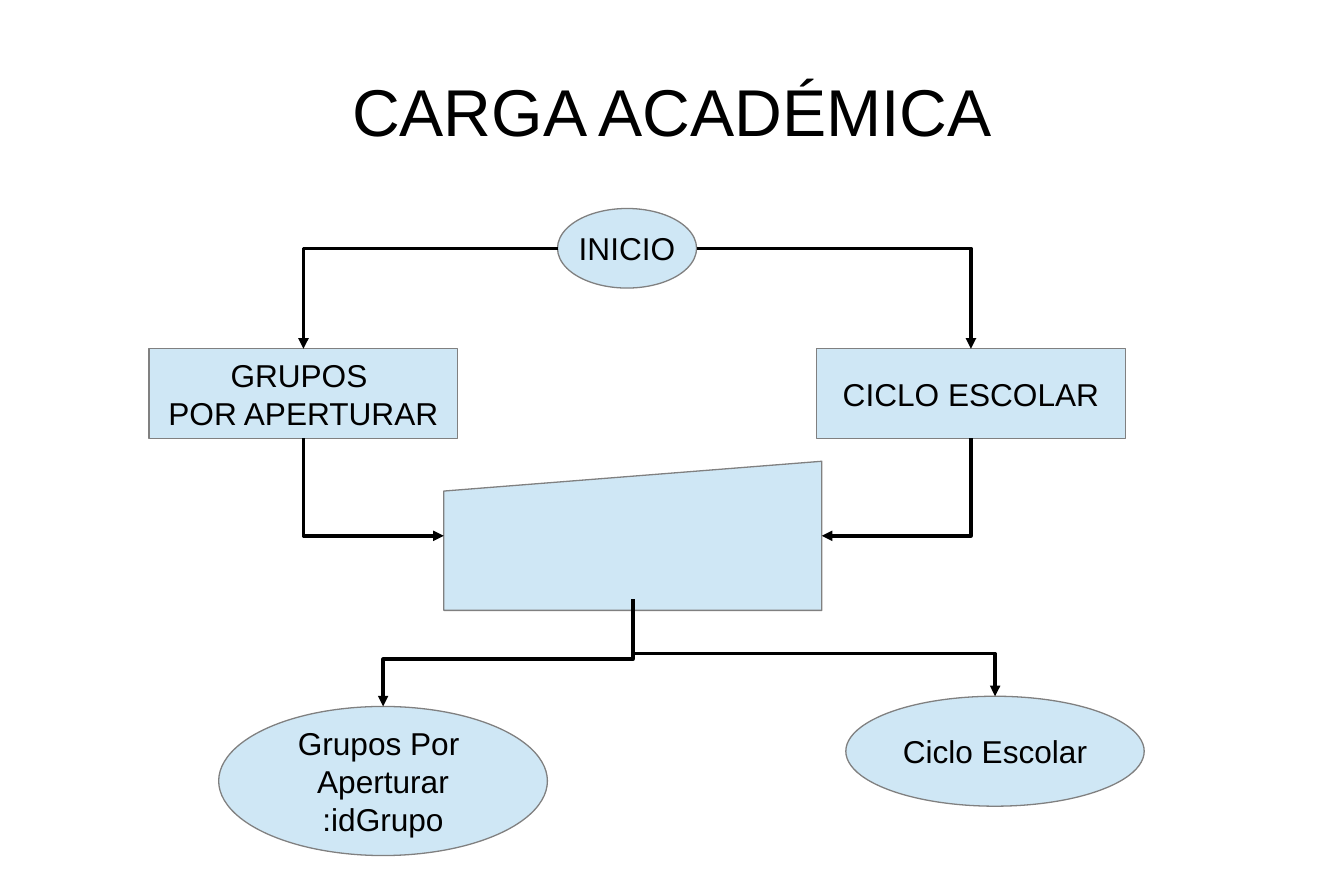
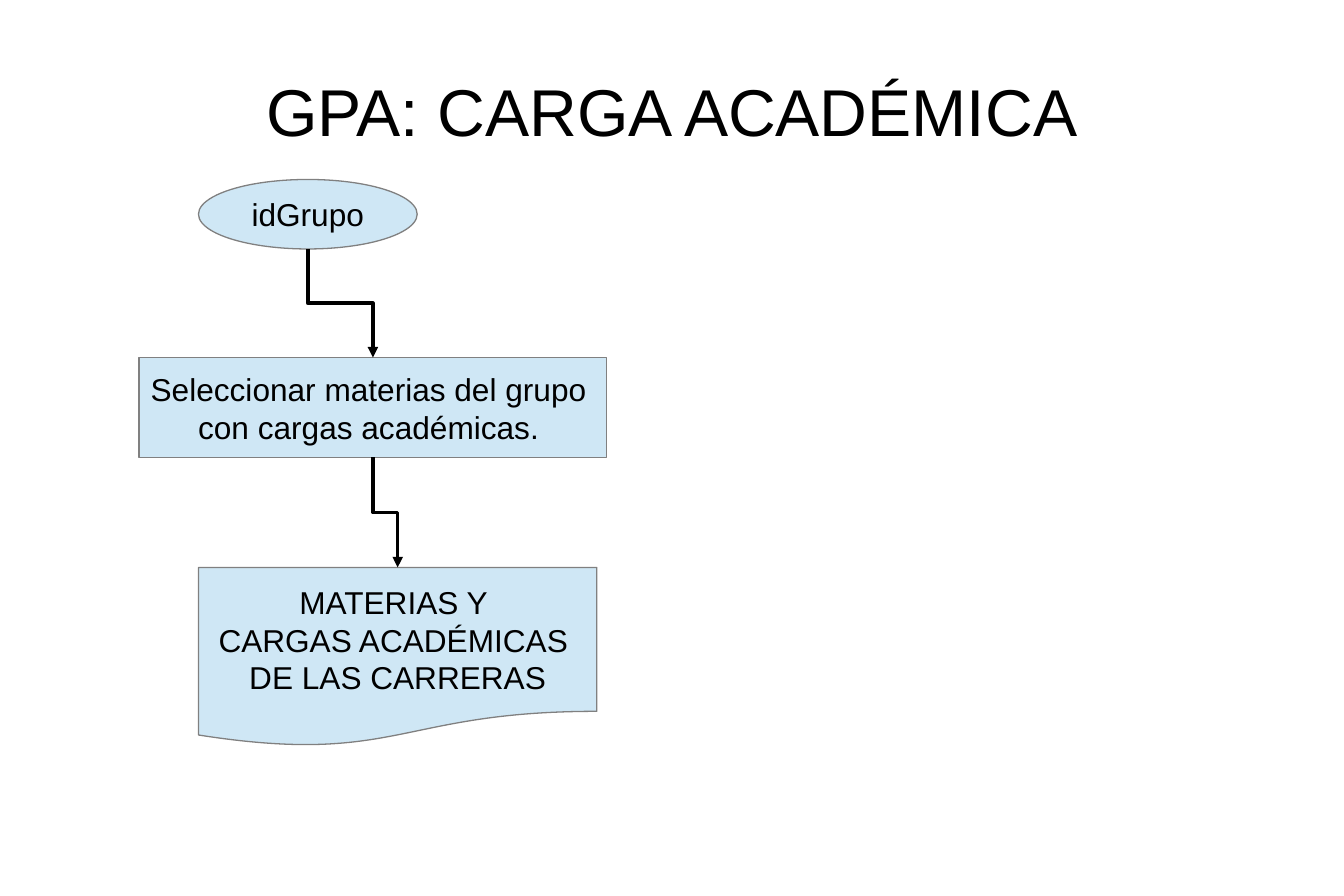
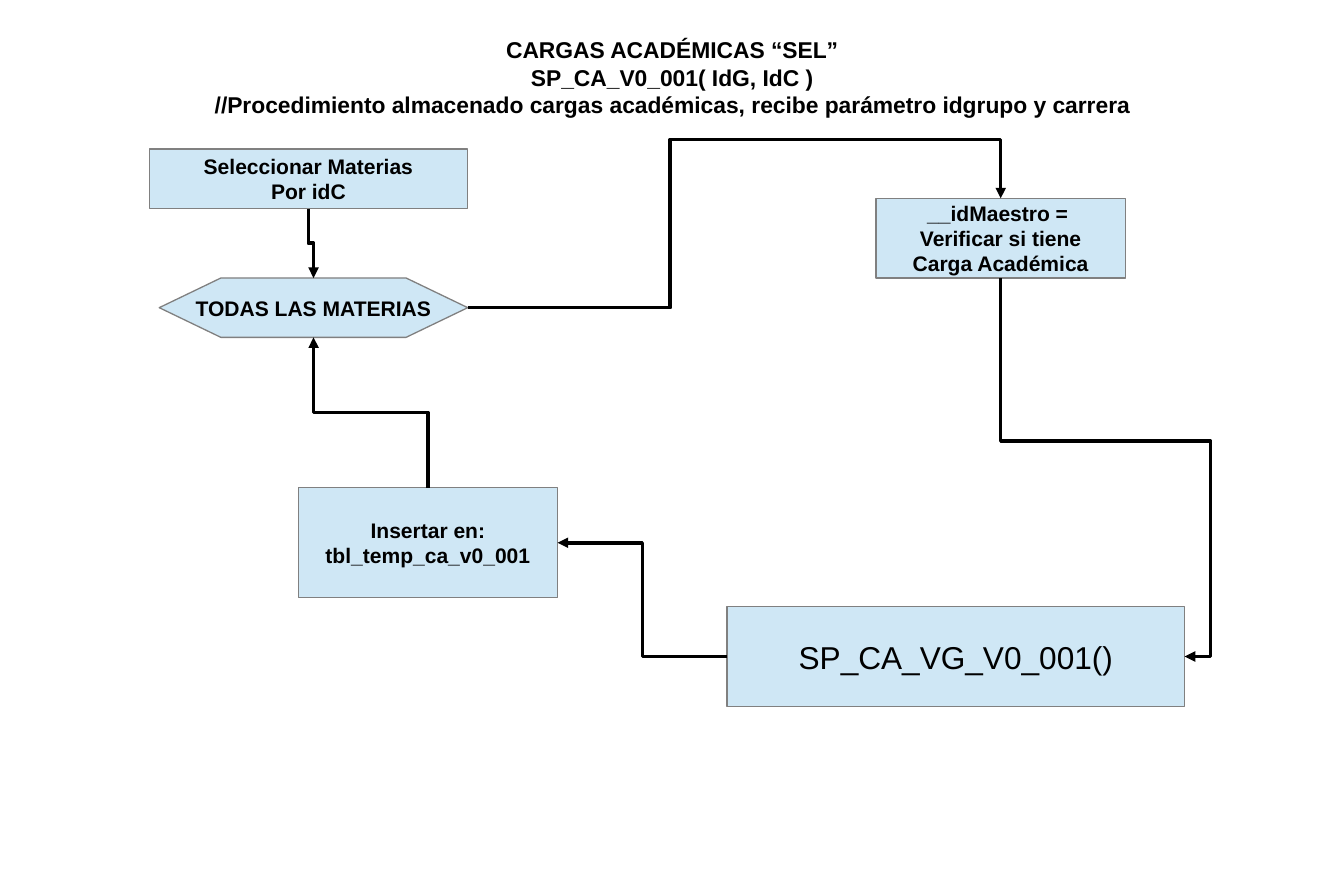
from pptx import Presentation
from pptx.dml.color import RGBColor
from pptx.enum import shapes, text
from pptx.oxml.ns import qn
from pptx.util import Inches, Pt
from lxml import etree

KIND = shapes.MSO_SHAPE
THEME = {
    "font": "Arial", "ink": "000000", "fill": "CFE7F5", "edge": "808080",
    "title": 37.7, "head": 13, "body": 18, "small": 12, "line": 0,
}
SIDES = {
    "top": (0.5, 0), "left": (0, 0.5), "bottom": (0.5, 1),
    "right": (1, 0.5), "inner": (0.5, 0.925),
}
OVAL = KIND.FLOWCHART_CONNECTOR
STEP = KIND.FLOWCHART_PROCESS

SLIDES = [
    {
        "title": ["CARGA ACADÉMICA"], "size": "title", "high": 1.18,
        "nodes": {
            "groups": (KIND.RECTANGLE, (1.18, 2.76, 2.44, 0.71), "body",
                       ["GRUPOS ", "POR APERTURAR"]),
            "cycle": (KIND.RECTANGLE, (6.46, 2.76, 2.44, 0.71), "body",
                      ["CICLO ESCOLAR"]),
            "start": (OVAL, (4.41, 1.65, 1.1, 0.63), "body", ["INICIO"]),
            "input": (KIND.FLOWCHART_MANUAL_INPUT, (3.51, 3.65, 2.99, 1.18), "body", []),
            "group": (OVAL, (1.73, 5.59, 2.6, 1.18), "body",
                      ["Grupos Por ", "Aperturar", ":idGrupo"]),
            "term": (OVAL, (6.69, 5.51, 2.36, 0.87), "body", ["Ciclo Escolar"]),
        },
        "links": [
            ("start", "left", "groups", "top", ()),
            ("start", "right", "cycle", "top", ()),
            ("groups", "bottom", "input", "left", ()),
            ("cycle", "bottom", "input", "right", ()),
            ("input", "inner", "group", "top", (0.56,)),
            ("input", "inner", "term", "top", (0.56,)),
        ],
    },
    {
        "title": ["GPA: CARGA ACADÉMICA"], "size": "title", "high": 1.18,
        "nodes": {
            "group": (OVAL, (1.57, 1.42, 1.73, 0.55), "body", ["idGrupo"]),
            "list": (KIND.FLOWCHART_DOCUMENT, (1.57, 4.49, 3.15, 1.42), "body",
                     ["MATERIAS Y ", "CARGAS ACADÉMICAS ", "DE LAS CARRERAS"]),
            "pick": (STEP, (1.1, 2.83, 3.7, 0.79), "body",
                     ["Seleccionar materias del grupo ", "con cargas académicas. "]),
        },
        "links": [
            ("group", "bottom", "pick", "top", (0.5,)),
            ("pick", "bottom", "list", "top", (0.5,)),
        ],
    },
    {
        "title": ["CARGAS ACADÉMICAS “SEL”", "SP_CA_V0_001( IdG, IdC )",
                  "//Procedimiento almacenado cargas académicas, "
                  "recibe parámetro idgrupo y carrera"],
        "size": "head", "high": 0.66,
        "nodes": {
            "pick": (STEP, (1.18, 1.18, 2.52, 0.47), "small",
                     ["Seleccionar Materias", "Por idC"]),
            "loop": (KIND.FLOWCHART_PREPARATION, (1.26, 2.2, 2.44, 0.47), "small",
                     ["TODAS LAS MATERIAS"]),
            "check": (STEP, (6.93, 1.57, 1.97, 0.63), "small",
                      ["__idMaestro = ", "Verificar si tiene", "Carga Académica"]),
            "insert": (STEP, (2.36, 3.86, 2.05, 0.87), "small",
                       ["Insertar en:", "tbl_temp_ca_v0_001"]),
            "call": (STEP, (5.75, 4.8, 3.62, 0.79), "body", ["SP_CA_VG_V0_001()"]),
        },
        "links": [
            ("pick", "bottom", "loop", "top", (0.5,)),
            ("loop", "right", "check", "top", (0.38, 1.54)),
            ("check", "bottom", "call", "right", (0.43, 1.14)),
            ("insert", "top", "loop", "bottom", (0.5,)),
            ("call", "left", "insert", "right", (0.5,)),
        ],
    },
]


def tint(name):
    return RGBColor.from_string(THEME[name])


def write(frame, lines, size):
    frame.word_wrap = False
    frame.vertical_anchor = text.MSO_ANCHOR.MIDDLE
    for num, line in enumerate(lines):
        para = frame.add_paragraph() if num else frame.paragraphs[0]
        para.alignment = text.PP_ALIGN.CENTER
        run = para.add_run()
        run.text = line
        run.font.name = THEME["font"]
        run.font.size = Pt(THEME[size])
        run.font.bold = size in ("head", "small")
        run.font.color.rgb = tint("ink")


def add_title(slide, lines, size, high):
    box = slide.shapes.add_textbox(*map(Inches, (0.53, 0.28, 9.57, high)))
    frame = box.text_frame
    write(frame, lines, size)
    frame.word_wrap = True
    frame.margin_left = frame.margin_right = frame.margin_top = frame.margin_bottom = 0


def add_node(slide, kind, box, size, lines):
    node = slide.shapes.add_shape(kind, *map(Inches, box))
    node.shadow.inherit = False
    node.fill.solid()
    node.fill.fore_color.rgb = tint("fill")
    node.line.color.rgb = tint("edge")
    node.line.width = Pt(THEME["line"])
    write(node.text_frame, lines, size)


def port(box, side):
    left, top, wide, high = box
    across, down = SIDES[side]
    return left + wide * across, top + high * down


def add_link(slide, start, end, upright, bends):
    (x1, y1), (x2, y2) = start, end
    wide, high, turn = x2 - x1, y2 - y1, 0
    if upright:
        wide, high, turn = y1 - y2, x2 - x1, 270
    if wide < 0 and (high < 0 or not upright):
        wide, high, turn = -wide, -high, (turn + 180) % 360
    left = (x1 + x2 - abs(wide)) / 2
    top = (y1 + y2 - abs(high)) / 2
    link = slide.shapes.add_connector(
        shapes.MSO_CONNECTOR.ELBOW,
        *map(Inches, (left, top, left + abs(wide), top + abs(high))))
    link.line.color.rgb = tint("ink")
    link.line.width = Pt(THEME["line"])
    props = link._element.spPr
    frame = props.find(qn("a:xfrm"))
    frame.set("rot", str(turn * 60000))
    frame.set("flipH", str(int(wide < 0)))
    frame.set("flipV", str(int(high < 0)))
    geom = props.find(qn("a:prstGeom"))
    geom.set("prst", f"bentConnector{len(bends) + 2}")
    guides = geom.find(qn("a:avLst"))
    for num, bend in enumerate(bends, 1):
        etree.SubElement(guides, qn("a:gd"), name=f"adj{num}",
                         fmla=f"val {round(bend * 100000)}")
    etree.SubElement(props.find(qn("a:ln")), qn("a:tailEnd"), type="triangle")
    etree.SubElement(props, qn("a:effectLst"))


def main():
    deck = Presentation()
    deck.slide_width, deck.slide_height = Inches(10.63), Inches(7.09)
    for page in SLIDES:
        slide = deck.slides.add_slide(deck.slide_layouts[6])
        add_title(slide, page["title"], page["size"], page["high"])
        nodes = page["nodes"]
        for node in nodes.values():
            add_node(slide, *node)
        for src, exit, dest, entry, bends in page["links"]:
            add_link(slide, port(nodes[src][1], exit), port(nodes[dest][1], entry),
                     exit not in ("left", "right"), bends)
    deck.save("out.pptx")


if __name__ == "__main__":
    main()
